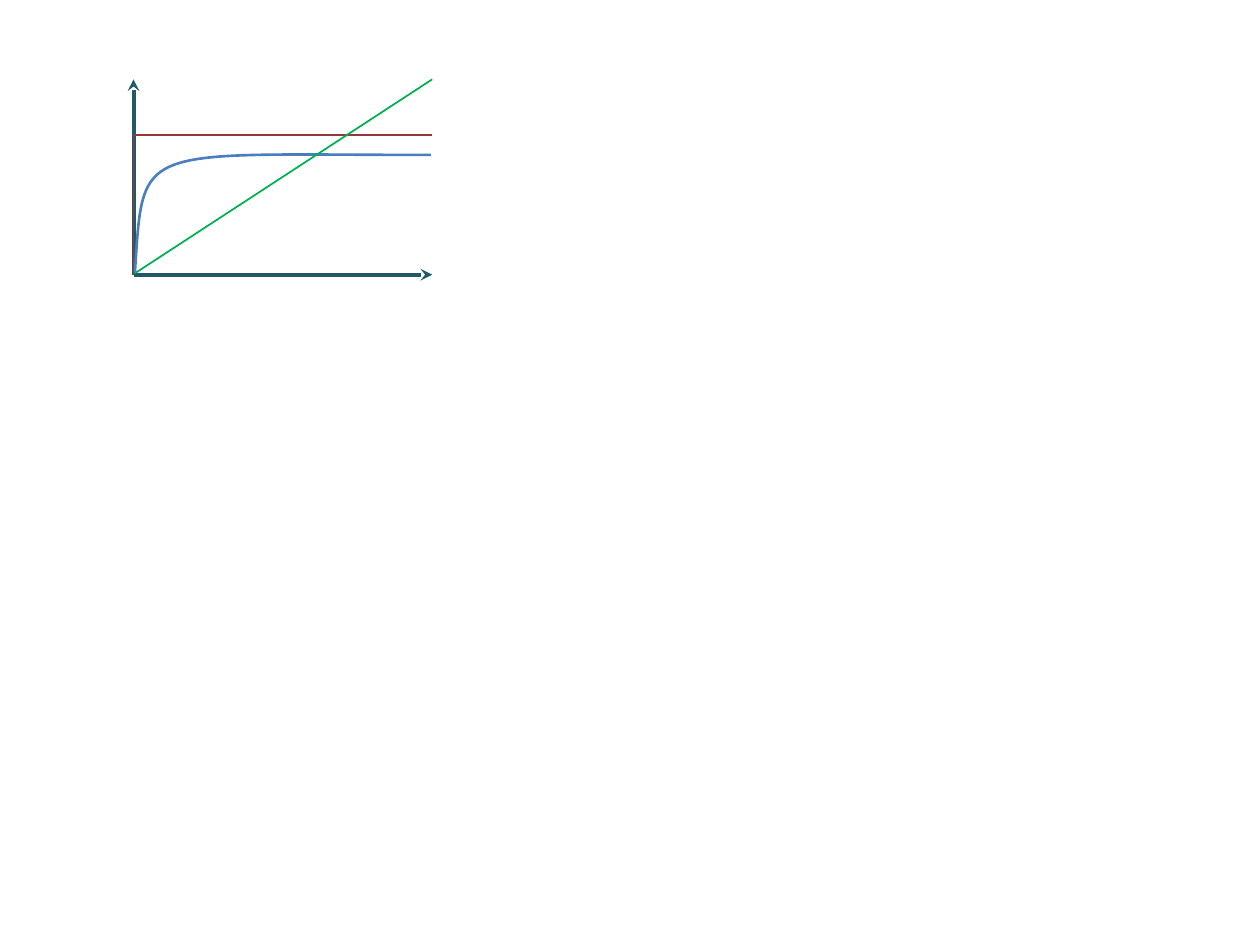
from lxml.etree import SubElement
from pptx import Presentation
from pptx.dml.color import RGBColor
from pptx.enum.shapes import MSO_CONNECTOR as CONNECTOR
from pptx.oxml.ns import qn
from pptx.util import Inches, Pt

TEAL = RGBColor(0x21, 0x59, 0x68)
RED = RGBColor(0x95, 0x37, 0x35)
BLUE = RGBColor(0x4B, 0x7E, 0xBC)
GREEN = RGBColor(0x00, 0xB0, 0x50)

LEFT, RIGHT = 1.06, 3.43
TOP, BASE = 0.63, 2.18
LIMIT = 1.07


def style_line(line, color, width):
    line.color.rgb = color
    line.width = Pt(width)


def add_line(slide, start, end, color, width=1, arrow=False):
    points = [Inches(value) for value in (*start, *end)]
    connector = slide.shapes.add_connector(CONNECTOR.STRAIGHT, *points)
    style_line(connector.line, color, width)
    properties = connector._element.spPr
    if arrow:
        SubElement(properties.find(qn("a:ln")), qn("a:tailEnd"), type="stealth")
    SubElement(properties, qn("a:effectLst"))


def add_curve(slide, start, controls, end, color, width):
    builder = slide.shapes.build_freeform(*map(Inches, start))
    builder.add_line_segments([tuple(map(Inches, end))], close=False)
    curve = builder.convert_to_shape()
    curve.shadow.inherit = False
    curve.fill.background()
    style_line(curve.line, color, width)

    segment = next(curve._element.iter(qn("a:lnTo")))
    segment.tag = qn("a:cubicBezTo")
    for index, (x, y) in enumerate(controls):
        point = segment.makeelement(qn("a:pt"), {
            "x": str(Inches(x) - curve.left),
            "y": str(Inches(y) - curve.top),
        })
        segment.insert(index, point)


def main():
    prs = Presentation()
    prs.slide_width, prs.slide_height = Inches(10), Inches(7.5)
    slide = prs.slides.add_slide(prs.slide_layouts[6])

    origin = (LEFT, BASE)
    for axis_end in ((LEFT, TOP), (RIGHT, BASE)):
        add_line(slide, origin, axis_end, TEAL, 2.25, arrow=True)

    limit_corner = (LEFT, LIMIT)
    for limit_end in (origin, (RIGHT, LIMIT)):
        add_line(slide, limit_end, limit_corner, RED)

    add_curve(slide, (1.07, 2.17), [(1.14, 1.12), (1.06, 1.23)],
              (3.42, 1.23), BLUE, 1.5)
    add_line(slide, (RIGHT, TOP), (1.07, 2.17), GREEN)

    prs.save("out.pptx")


if __name__ == "__main__":
    main()
